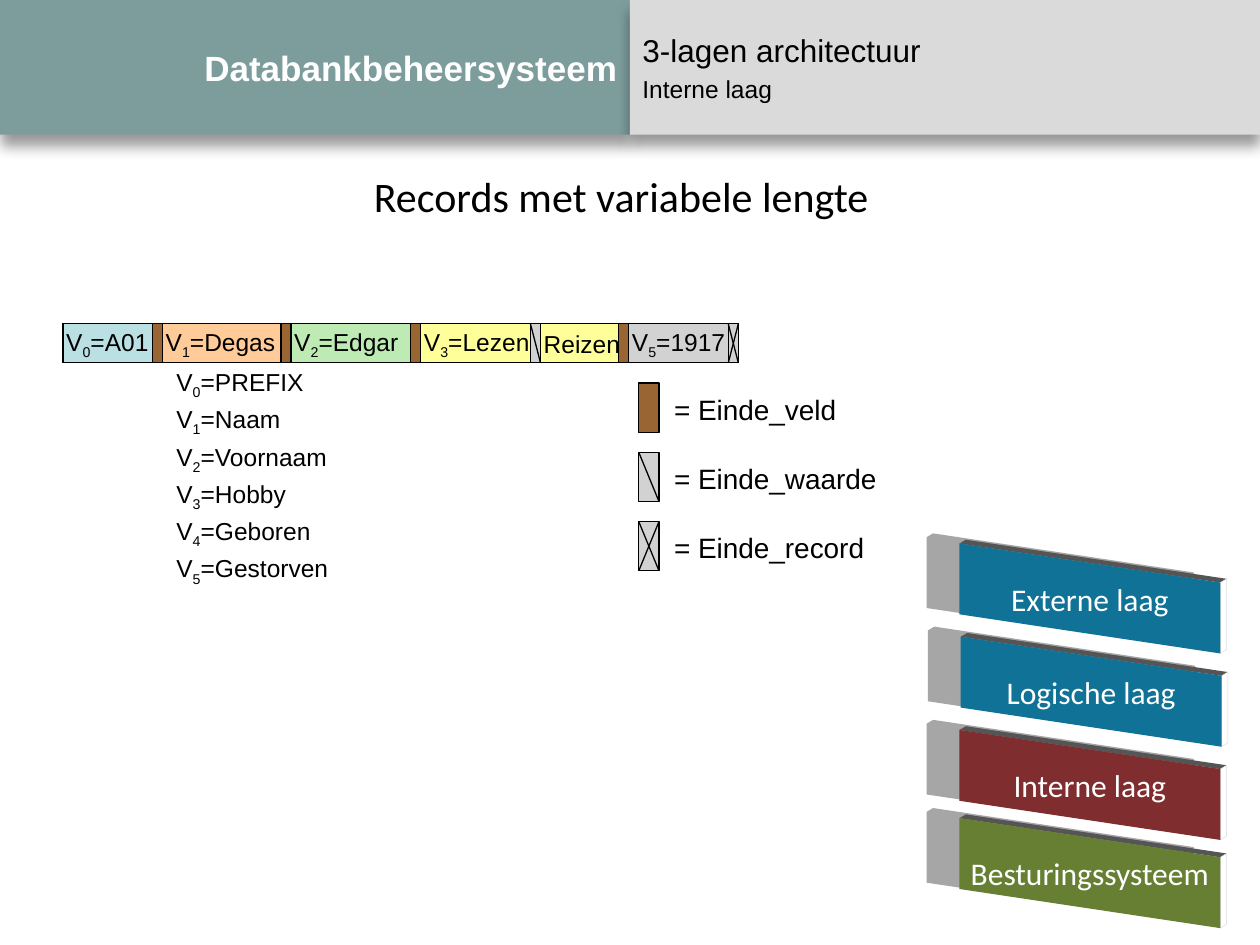
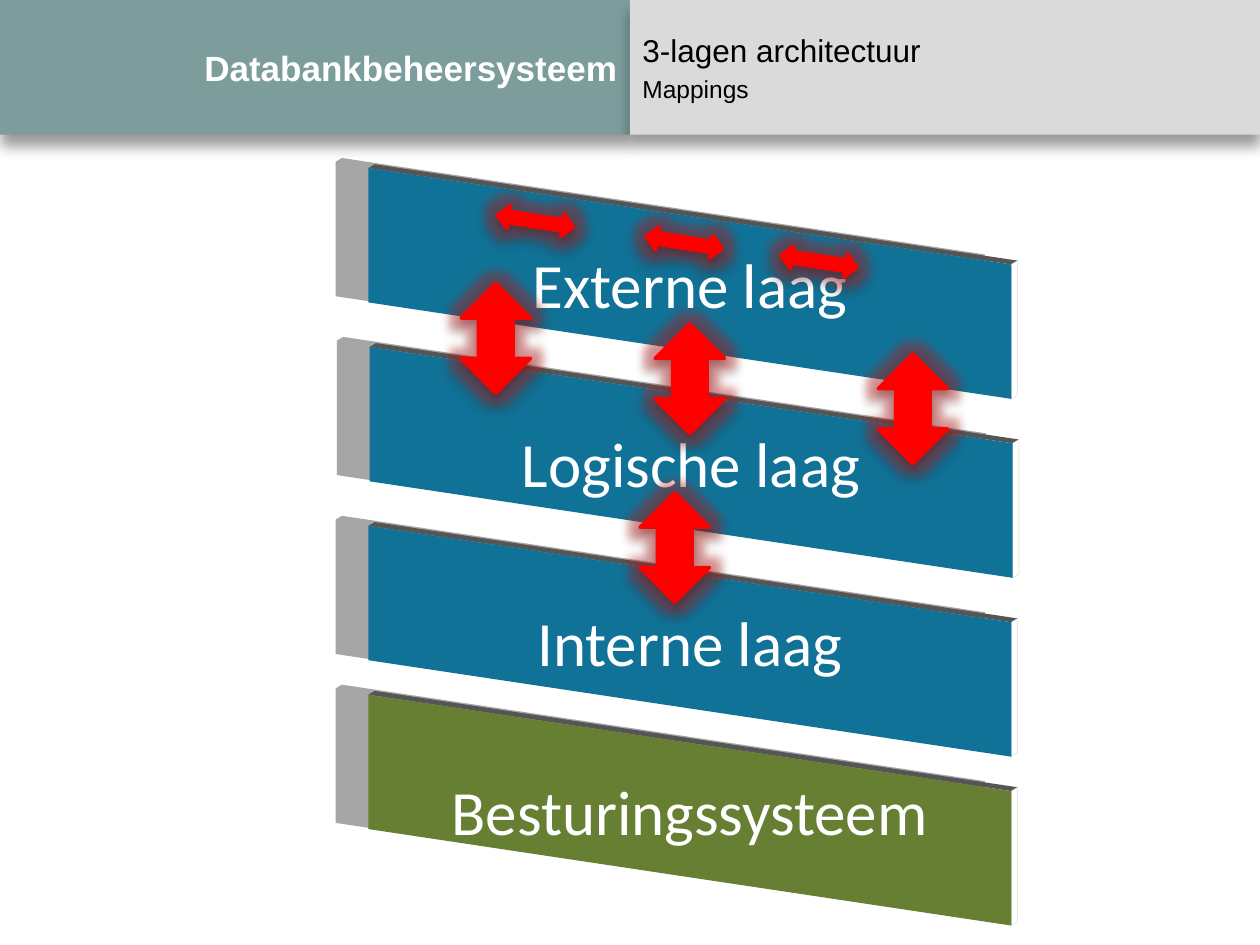
from lxml import etree
from pptx import Presentation
from pptx.dml.color import RGBColor
from pptx.enum.shapes import MSO_CONNECTOR, MSO_SHAPE
from pptx.enum.text import MSO_ANCHOR, PP_ALIGN
from pptx.oxml.ns import qn
from pptx.util import Emu, Inches, Pt

RECT, ARROW = MSO_SHAPE.RECTANGLE, MSO_SHAPE.UP_DOWN_ARROW
LINE = MSO_CONNECTOR.STRAIGHT
LEFT, MID, RIGHT = PP_ALIGN.LEFT, PP_ALIGN.CENTER, PP_ALIGN.RIGHT
CENTER = MSO_ANCHOR.MIDDLE

WHITE = RGBColor(0xFF, 0xFF, 0xFF)
BLACK = RGBColor(0x00, 0x00, 0x00)
TEAL = RGBColor(0x7D, 0x9D, 0x9D)
SILVER = RGBColor(0xDA, 0xDA, 0xDA)
BLUE = RGBColor(0x11, 0x72, 0x97)
WINE = RGBColor(0x7F, 0x2D, 0x2E)
GREEN = RGBColor(0x66, 0x7F, 0x33)
DARK = RGBColor(0x55, 0x55, 0x55)
SHADE = RGBColor(0xA6, 0xA6, 0xA6)
RED = RGBColor(0xFF, 0x00, 0x00)
GLOW = RGBColor(0xC4, 0x20, 0x20)
BROWN = RGBColor(0x99, 0x66, 0x33)
GREY = RGBColor(0xD2, 0xD2, 0xD2)
AQUA = RGBColor(0xBB, 0xE0, 0xE3)
PEACH = RGBColor(0xFF, 0xCC, 0x99)
MINT = RGBColor(0xBE, 0xEB, 0xB3)
YELLOW = RGBColor(0xFF, 0xFF, 0x99)

COLS, ROWS = 100, 75
CELL = Inches(0.1)
HEAD = 10.7
THIN = 0.75
TOP, TALL, GAP = 25.7, 3.1, 0.8
DEEP_X, DEEP_Y = 0.5, -0.3
CAST_X, CAST_Y = -2.6, -0.5

FIELDS = [
    (7.1, AQUA, "0", "=A01", "end"),
    (9.4, PEACH, "1", "=Degas", "end"),
    (9.5, MINT, "2", "=Edgar", "end"),
    (8.7, YELLOW, "3", "=Lezen", "value"),
    (6.2, YELLOW, "", "Reizen", "end"),
    (7.9, GREY, "5", "=1917", "record"),
]
NAMES = ["PREFIX", "Naam", "Voornaam", "Hobby", "Geboren", "Gestorven"]
MARKS = [("end", "= Einde_veld"), ("value", "= Einde_waarde"),
         ("record", "= Einde_record")]
LAYERS = ["Externe laag", "Logische laag", "Interne laag", "Besturingssysteem"]


def grid(*cells):
    return [Emu(round(n * CELL)) for n in cells]


def effect(props, tag, color, alpha, **sizes):
    fx = props.find(qn("a:effectLst"))
    if fx is None:
        fx = etree.SubElement(props, qn("a:effectLst"))
    node = etree.SubElement(fx, qn(tag))
    for key, size in sizes.items():
        node.set(key, str(int(size)))
    tint = etree.SubElement(node, qn("a:srgbClr"), val=str(color))
    etree.SubElement(tint, qn("a:alpha"), val=str(alpha * 1000))


def shadow(shape, blur, dist):
    effect(shape.element.spPr, "a:outerShdw", BLACK, 40,
           blurRad=Pt(blur), dist=Pt(dist), dir=5400000)


def paint(shape, fill, line=None, width=THIN):
    shape.shadow.inherit = False
    if fill is None:
        shape.fill.background()
    else:
        shape.fill.solid()
        shape.fill.fore_color.rgb = fill
    if line is None:
        shape.line.fill.background()
    else:
        shape.line.color.rgb = line
        shape.line.width = Pt(width)
    return shape


def block(slide, kind, box, fill, line=None, width=THIN):
    shape = slide.shapes.add_shape(kind, *grid(*box))
    return paint(shape, fill, line, width)


def stroke(slide, *ends):
    line = slide.shapes.add_connector(LINE, *grid(*ends))
    line.line.color.rgb = BLACK
    line.line.width = Pt(THIN)
    etree.SubElement(line.element.spPr, qn("a:effectLst"))


def facet(slide, points, fill, line=None):
    start, *rest = [grid(*p) for p in points]
    pen = slide.shapes.build_freeform(*start)
    pen.add_line_segments(rest)
    return paint(pen.convert_to_shape(), fill, line, 0.25)


def write(shape, *lines, size=14, font="Arial", color=BLACK, bold=False,
          align=LEFT, sub="", pad=0, wrap=True, space=0):
    frame = shape.text_frame
    frame.word_wrap = wrap
    frame.vertical_anchor = CENTER
    frame.margin_left, frame.margin_right = grid(pad, pad)
    frame.margin_top = frame.margin_bottom = 0
    sizes = size if isinstance(size, tuple) else (size,) * len(lines)
    for row, (text, points) in enumerate(zip(lines, sizes)):
        para = frame.add_paragraph() if row else frame.paragraphs[0]
        para.alignment = align
        para.space_before = Pt(space * points)
        parts = [("V", 0), (sub, -25000), (text, 0)] if sub else [(text, 0)]
        for part, base in parts:
            run = para.add_run()
            run.text = part
            run.font.name, run.font.size = font, Pt(points)
            run.font.bold = bold
            run.font.color.rgb = color
            if base:
                run.font._element.set("baseline", str(base))


def label(slide, text, box, **style):
    write(slide.shapes.add_textbox(*grid(*box)), text, **style)


def header(slide, topic):
    half = COLS / 2
    left = block(slide, RECT, (0, 0, half, HEAD), TEAL)
    write(left, "Databankbeheersysteem", size=20, color=WHITE, bold=True,
          align=RIGHT, pad=1)
    right = block(slide, RECT, (half, 0, half, HEAD), SILVER)
    write(right, "3-lagen architectuur", topic, size=(18, 14), pad=1,
          space=0.2)
    for band in (left, right):
        shadow(band, 8, 6)


def slab(slide, text, box, fill, size):
    x, y, wide, high = box
    left, right = x + 0.05 * wide, x + 0.95 * wide
    drop = 0.15 * (right - left)
    side = 0.97 * high
    top = y + (high - side - drop) / 2
    face = [(left, top), (right, top + drop),
            (right, top + drop + side), (left, top + side)]

    def move(points, dx, dy):
        return [(px + dx, py + dy) for px, py in points]

    a, b, c, d = face
    far_a, far_b, far_c, _ = move(face, DEEP_X, DEEP_Y)
    cast = move([a, far_a, far_b, c, d], CAST_X, CAST_Y)
    facet(slide, cast, SHADE)
    facet(slide, [a, far_a, far_b, b], DARK)
    facet(slide, [b, far_b, far_c, c], WHITE, SILVER)
    front = facet(slide, face, fill)
    write(front, text, size=size, font="Calibri", color=WHITE, align=MID,
          wrap=False)


def stack(slide, x, tops, wide, high, fills, size):
    for row, (text, y, fill) in enumerate(zip(LAYERS, tops, fills)):
        nudge = 0.1 if row == 1 else 0
        slab(slide, text, (x + nudge, y, wide, high), fill, size)


def mark(slide, kind, x, y, wide, high):
    fill = BROWN if kind == "end" else GREY
    block(slide, RECT, (x, y, wide, high), fill, BLACK)
    if kind != "end":
        stroke(slide, x, y, x + wide, y + high)
    if kind == "record":
        stroke(slide, x + wide, y, x, y + high)


def record(slide, x):
    start = x
    for wide, fill, sub, text, end in FIELDS:
        block(slide, RECT, (x, TOP, wide, TALL), fill, BLACK)
        label(slide, text, (x + 0.25, TOP, wide + 1, TALL), sub=sub)
        x += wide
        mark(slide, end, x, TOP, GAP, TALL)
        x += GAP
    block(slide, RECT, (start, TOP, x - start, TALL), None, BLACK)


def legend(slide):
    for row, name in enumerate(NAMES):
        label(slide, "=" + name, (14, 28.8 + 2.96 * row, 16, 3.3),
              sub=str(row))
    for row, (kind, text) in enumerate(MARKS):
        y = 30.4 + 5.5 * row
        mark(slide, kind, 50.7, y, 1.6, 3.9)
        label(slide, text, (53.5, y + 0.2, 18, 3.7), size=16)


def arrow(slide, box, turn=0):
    shape = block(slide, ARROW, box, RED, RED, 2)
    shape.rotation = turn
    effect(shape.element.spPr, "a:glow", GLOW, 40, rad=Pt(11))
    shadow(shape, 4, 3)


def inner(slide):
    header(slide, "Interne laag")
    label(slide, "Records met variabele lengte", (28.7, 13, 41.6, 5),
          size=24, font="Calibri", pad=1, wrap=False)
    record(slide, 5)
    legend(slide)
    stack(slide, 75, (44.6, 52, 59.4, 66.4), 23, 5.8,
          (BLUE, BLUE, WINE, GREEN), 18)


def links(slide):
    header(slide, "Mappings")
    stack(slide, 26.4, (17, 31.2, 45.4, 58.8), 56.7, 11,
          (BLUE, BLUE, BLUE, GREEN), 36)
    for x, y in ((36.6, 22.5), (69.7, 28.1), (52, 25.7), (50.8, 39.1)):
        arrow(slide, (x, y, 5.5, 8.7))
    for x, y in ((41.6, 14.5), (53.4, 16.2), (64.1, 17.7)):
        arrow(slide, (x, y, 1.8, 6.1), 278.8)


def main():
    deck = Presentation()
    deck.slide_width, deck.slide_height = grid(COLS, ROWS)
    for build in (inner, links):
        build(deck.slides.add_slide(deck.slide_layouts[6]))
    deck.save("out.pptx")


if __name__ == "__main__":
    main()
